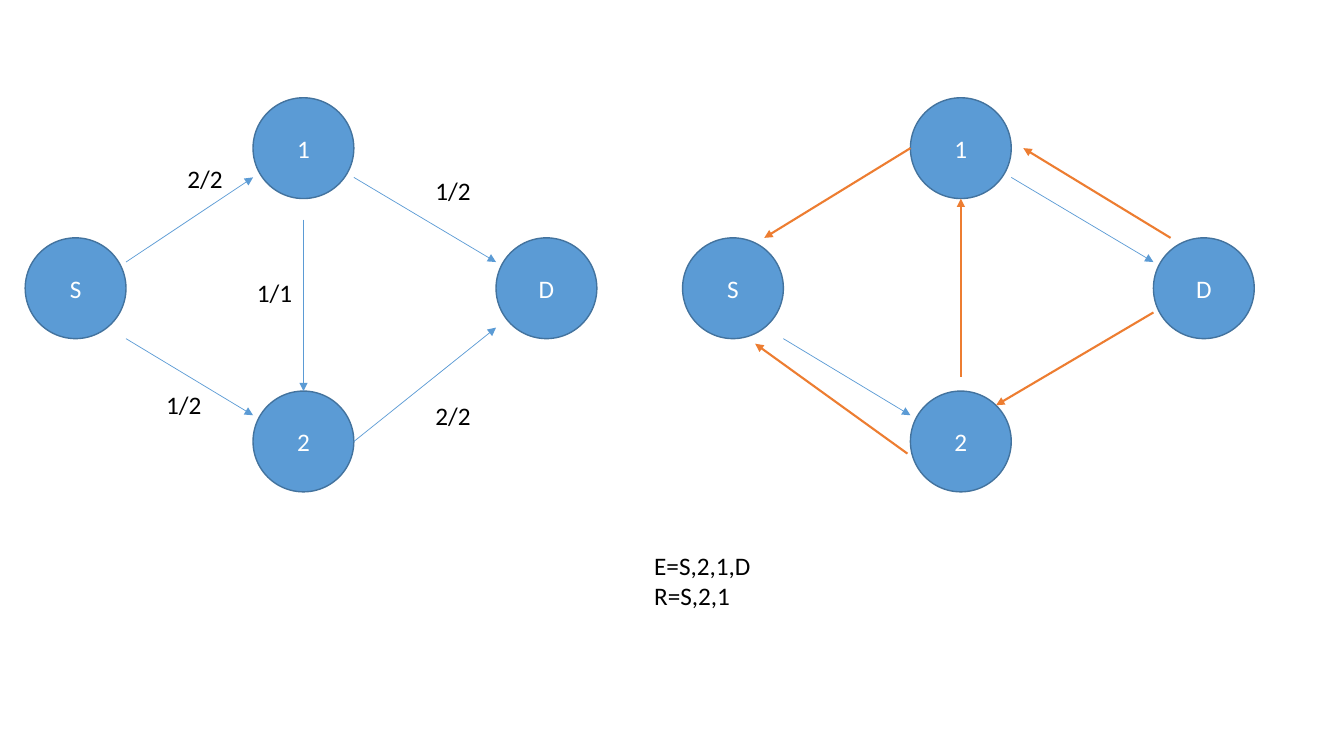
"""Build a slide with a flow network beside its residual graph."""
from lxml import etree
from pptx import Presentation
from pptx.dml.color import RGBColor
from pptx.enum.shapes import MSO_CONNECTOR, MSO_SHAPE
from pptx.enum.text import MSO_ANCHOR, MSO_AUTO_SIZE, PP_ALIGN
from pptx.oxml.ns import qn
from pptx.util import Inches, Pt

STRAIGHT, OVAL = MSO_CONNECTOR.STRAIGHT, MSO_SHAPE.OVAL
MIDDLE, CENTER, LEFT = MSO_ANCHOR.MIDDLE, PP_ALIGN.CENTER, PP_ALIGN.LEFT
GROW = MSO_AUTO_SIZE.SHAPE_TO_FIT_TEXT
BLUE = RGBColor(0x5B, 0x9B, 0xD5)
NAVY = RGBColor(0x43, 0x73, 0x9E)
ORANGE = RGBColor(0xED, 0x7D, 0x31)
WHITE = RGBColor(255, 255, 255)
BLACK = RGBColor(0, 0, 0)

DIAMETER = 1
GRAPH_STEP = 6.52
NODES = {"S": (0.25, 2.36), "D": (4.92, 2.36), "2": (2.51, 3.88), "1": (2.51, 0.97)}

# Each link: start node, share of its box, end node, share of its box.
SPARE = [
    ("S", (1, 1), "2", (0, 0.24)),
    ("1", (1, 0.79), "D", (0, 0.24)),
]
FULL = [
    ("S", (1, 0.24), "1", (0, 0.79)),
    ("1", (0.5, 1.21), "2", (0.5, 0)),
    ("2", (1, 0.5), "D", (0, 0.89)),
]
BACKWARD = [
    ("1", (0, 0.5), "S", (0.81, 0)),
    ("D", (0.17, 0), "1", (1.12, 0.5)),
    ("D", (0, 0.74), "2", (0.85, 0.14)),
    ("2", (-0.03, 0.62), "S", (0.72, 1.05)),
    ("2", (0.5, -0.14), "1", (0.5, 1)),
]
GRAPHS = [
    [(SPARE + FULL, BLUE, 0.5)],
    [(SPARE, BLUE, 0.5), (BACKWARD, ORANGE, 1.5)],
]
FLOW_SIZE = (0.56, 0.4)
FLOWS = [
    ("2/2", (1.76, 1.57)),
    ("1/2", (4.22, 1.69)),
    ("2/2", (4.22, 3.92)),
    ("1/2", (1.55, 3.81)),
    ("1/1", (2.45, 2.7)),
]
SETS = ["E=S,2,1,D", "R=S,2,1"]
SETS_AT, SETS_SIZE = (6.39, 5.41), (1.17, 0.71)


def write(frame, lines, color, align):
    for index, line in enumerate(lines):
        paragraph = frame.add_paragraph() if index else frame.paragraphs[0]
        paragraph.alignment = align
        run = paragraph.add_run()
        run.text = line
        run.font.name, run.font.size = "Calibri", Pt(18)
        run.font.color.rgb = color


def add_label(slide, lines, at, size):
    frame = slide.shapes.add_textbox(*map(Inches, at + size)).text_frame
    frame.word_wrap = False
    frame.auto_size = GROW
    write(frame, lines, BLACK, LEFT)


def add_node(slide, name, shift):
    left, top = NODES[name]
    node = slide.shapes.add_shape(
        OVAL, *map(Inches, (left + shift, top, DIAMETER, DIAMETER)))
    node.shadow.inherit = False
    node.fill.solid()
    node.fill.fore_color.rgb = BLUE
    node.line.color.rgb = NAVY
    node.line.width = Pt(1)
    node.text_frame.vertical_anchor = MIDDLE
    write(node.text_frame, [name], WHITE, CENTER)


def point(name, share, shift):
    left, top = NODES[name]
    return Inches(left + shift + share[0] * DIAMETER), Inches(top + share[1] * DIAMETER)


def add_link(slide, link, shift, color, width):
    start, start_share, end, end_share = link
    arrow = slide.shapes.add_connector(
        STRAIGHT, *point(start, start_share, shift), *point(end, end_share, shift))
    arrow.line.color.rgb = color
    arrow.line.width = Pt(width)
    etree.SubElement(arrow.line._get_or_add_ln(), qn("a:tailEnd"), type="triangle")
    etree.SubElement(arrow._element.spPr, qn("a:effectLst"))


def main():
    deck = Presentation()
    deck.slide_width, deck.slide_height = Inches(13.33), Inches(7.5)
    slide = deck.slides.add_slide(deck.slide_layouts[6])
    for column, groups in enumerate(GRAPHS):
        shift = column * GRAPH_STEP
        for name in NODES:
            add_node(slide, name, shift)
        for links, color, width in groups:
            for link in links:
                add_link(slide, link, shift, color, width)
    for flow, at in FLOWS:
        add_label(slide, [flow], at, FLOW_SIZE)
    add_label(slide, SETS, SETS_AT, SETS_SIZE)
    deck.save("out.pptx")


if __name__ == "__main__":
    main()
